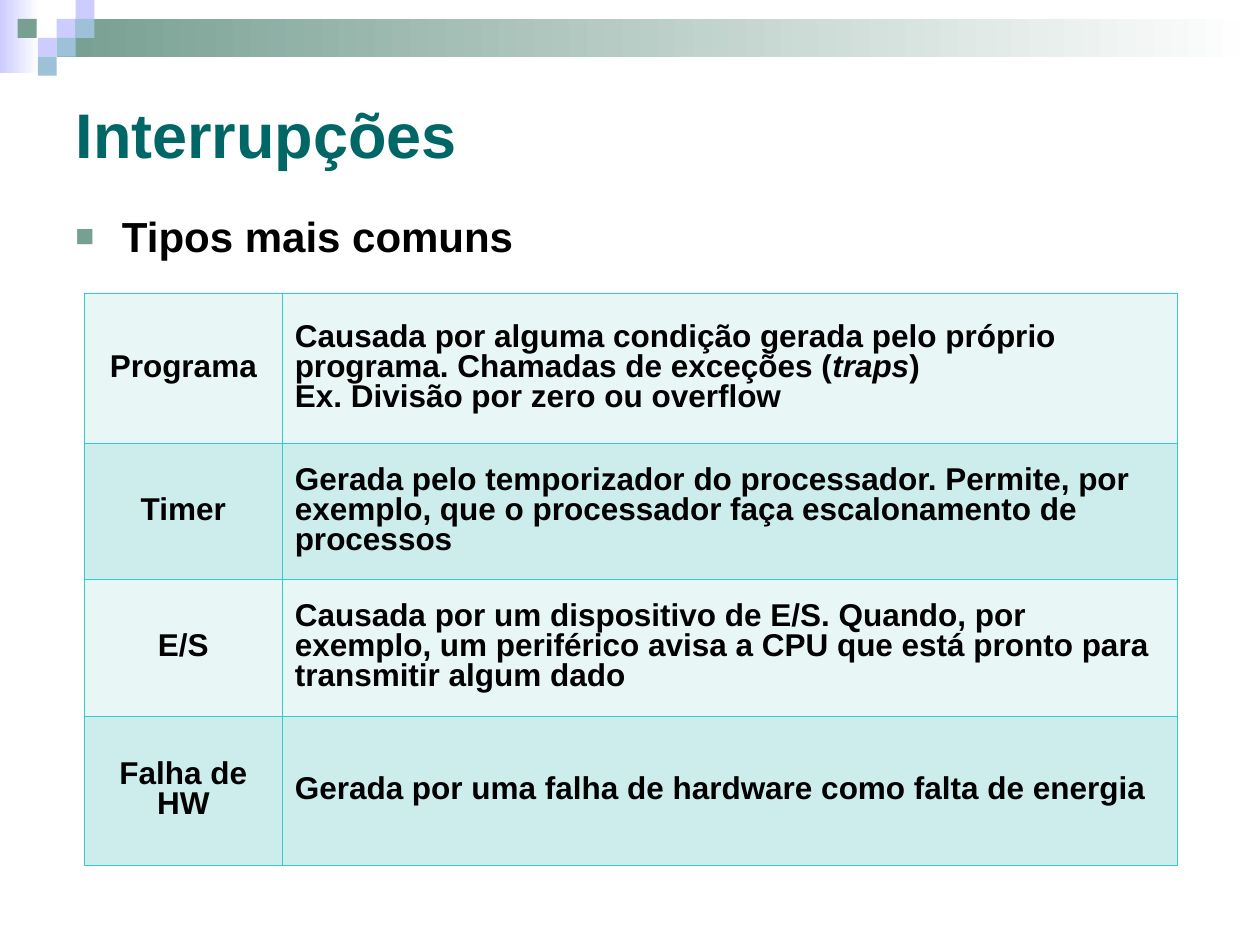
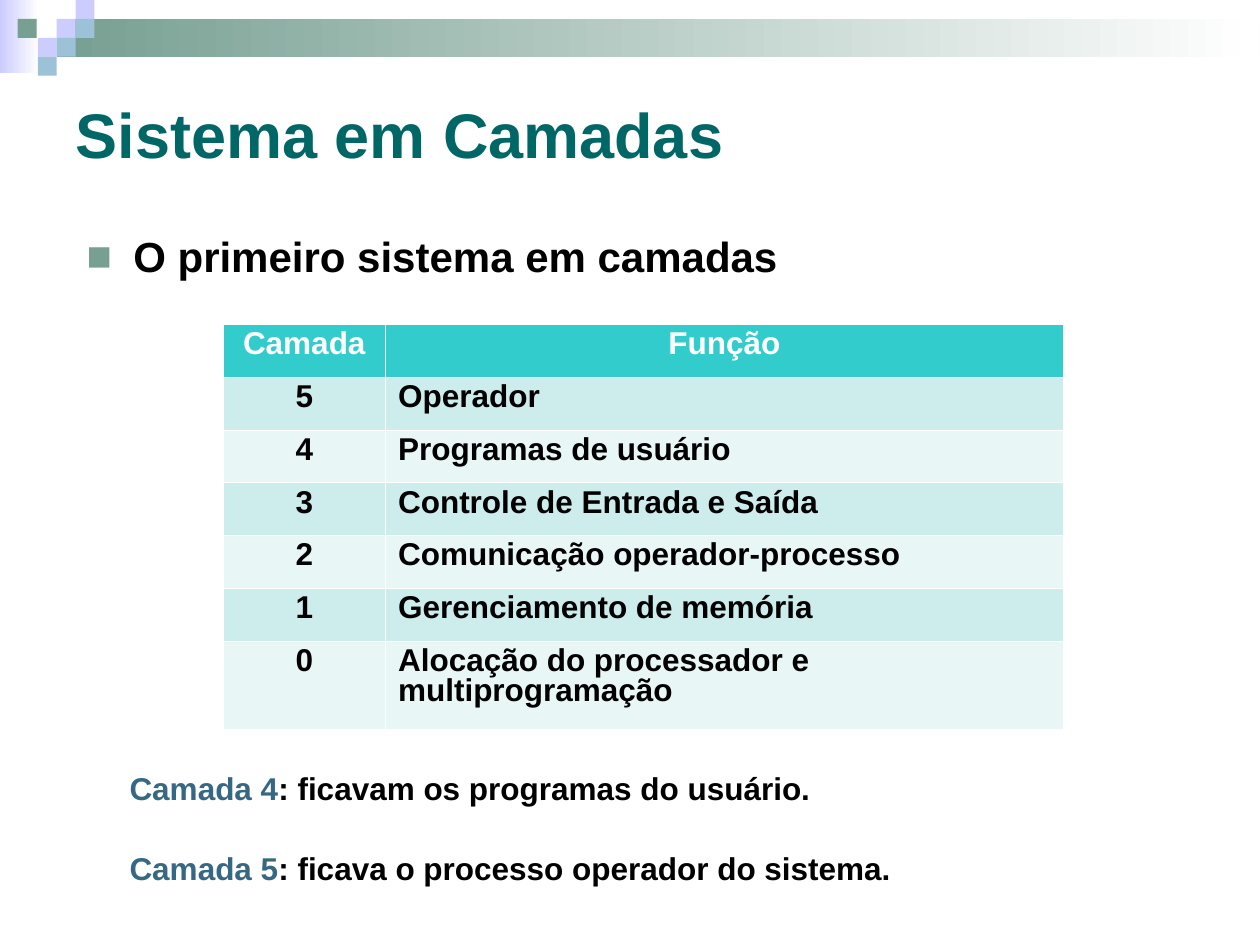
from itertools import product
from lxml.etree import SubElement
from pptx import Presentation
from pptx.dml.color import RGBColor
from pptx.enum.shapes import MSO_SHAPE
from pptx.enum.text import MSO_ANCHOR, PP_ALIGN
from pptx.oxml import parse_xml
from pptx.oxml.ns import nsdecls, qn
from pptx.util import Pt

PX = 9144  # 100 px to the inch
WHITE = RGBColor(0xFF, 0xFF, 0xFF)
BLACK = RGBColor(0, 0, 0)
LILAC = RGBColor(0xCC, 0xCC, 0xFF)
SAGE = RGBColor(0x77, 0x9F, 0x92)
SKY = RGBColor(0x9D, 0xC2, 0xD7)
TEAL = RGBColor(0, 0x66, 0x66)
STEEL = RGBColor(0x36, 0x68, 0x84)
TURQUOISE = RGBColor(0x33, 0xCC, 0xCC)
MINT = RGBColor(0xCD, 0xEC, 0xEC)
PALE = RGBColor(0xE8, 0xF6, 0xF6)


def px(*lengths):
    return [length * PX for length in lengths]


def write(para, text, size, color=BLACK, italic=False):
    span = para.add_run()
    span.text = text
    span.font.color.rgb = color
    formats = {"name": "Arial", "size": Pt(size), "bold": True, "italic": italic}
    for name, value in formats.items():
        setattr(span.font, name, value)


pages = [
    {
        "title": "Interrupções",
        "bullet": "Tipos mais comuns",
        "bullet_box": (50, 162, 900, 559),
        "bullet_percent": 75,
        "table_box": (67, 233, 867, 454),
        "columns": (157, 710),
        "heights": (119, 108, 108, 119),
        "fills": [PALE, MINT] * 2,
        "border": TURQUOISE,
        "anchor": MSO_ANCHOR.MIDDLE,
        "rows": [
            ("Programa", "Causada por alguma condição gerada pelo próprio programa. "
             "Chamadas de exceções (|traps|)\vEx. Divisão por zero ou overflow"),
            ("Timer", "Gerada pelo temporizador do processador. Permite, por exemplo, "
             "que o processador faça escalonamento de processos"),
            ("E/S", "Causada por um dispositivo de E/S. Quando, por exemplo, um "
             "periférico avisa a CPU que está pronto para transmitir algum dado"),
            ("Falha de HW", "Gerada por uma falha de hardware como falta de energia"),
        ],
    },
    {
        "title": "Sistema em Camadas",
        "bullet": "O primeiro sistema em camadas",
        "bullet_box": (59, 178, 900, 63),
        "bullet_percent": 100,
        "table_box": (177, 257, 667, 322),
        "columns": (129, 538),
        "heights": [42] * 6 + [70],
        "fills": [TURQUOISE] + [MINT, PALE] * 3,
        "border": WHITE,
        "anchor": MSO_ANCHOR.TOP,
        "rows": [
            ("Camada", "Função"),
            ("5", "Operador"),
            ("4", "Programas de usuário"),
            ("3", "Controle de Entrada e Saída"),
            ("2", "Comunicação operador-processo"),
            ("1", "Gerenciamento de memória"),
            ("0", "Alocação do processador e multiprogramação"),
        ],
    },
]

deck = Presentation()
deck.slide_width, deck.slide_height = px(1000, 750)

for content in pages:
    page = deck.slides.add_slide(deck.slide_layouts[5])

    # Title
    title = page.shapes.title
    title.left, title.top, title.width, title.height = px(50, 50, 900, 112)
    title.text_frame.vertical_anchor = MSO_ANCHOR.MIDDLE
    para = title.text_frame.paragraphs[0]
    para.alignment = PP_ALIGN.LEFT
    write(para, content["title"], 36, TEAL)

    # Bullet line
    box = page.shapes.add_textbox(*px(*content["bullet_box"]))
    box.text_frame.word_wrap = True
    para = box.text_frame.paragraphs[0]
    properties = para._p.get_or_add_pPr()
    properties.set("marL", str(37 * PX))
    properties.set("indent", str(-37 * PX))
    bullet_color = SubElement(properties, qn("a:buClr"))
    SubElement(bullet_color, qn("a:srgbClr"), val=str(SAGE))
    SubElement(properties, qn("a:buSzPct"), val=str(content["bullet_percent"] * 1000))
    SubElement(properties, qn("a:buFont"), typeface="Arial")
    SubElement(properties, qn("a:buChar"), char="■")
    write(para, content["bullet"], 24)

    # Table
    rows, columns = content["rows"], content["columns"]
    table = page.shapes.add_table(len(rows), len(columns), *px(*content["table_box"])).table
    table.first_row = table.horz_banding = False
    for column, width in zip(table.columns, columns):
        column.width = width * PX
    for row, height in zip(table.rows, content["heights"]):
        row.height = height * PX
    for r, c in product(range(len(rows)), range(len(columns))):
        cell = table.cell(r, c)
        fill = content["fills"][r]
        is_header = fill == TURQUOISE
        cell.vertical_anchor = content["anchor"]
        cell.fill.solid()
        cell.fill.fore_color.rgb = fill
        for position, side in enumerate("LRTB"):
            cell._tc.get_or_add_tcPr().insert(position, parse_xml(
                f'<a:ln{side} {nsdecls("a")} w="1397"><a:solidFill>'
                f'<a:srgbClr val="{content["border"]}"/></a:solidFill></a:ln{side}>'))
        para = cell.text_frame.paragraphs[0]
        para.alignment = PP_ALIGN.CENTER if c == 0 or is_header else PP_ALIGN.LEFT
        para.line_spacing = 0.86
        # Bars enclose italic words, \v breaks the line
        for part, text in enumerate(rows[r][c].split("|")):
            for line, words in enumerate(text.split("\v")):
                if line:
                    para.add_line_break()
                write(para, words, 18, WHITE if is_header else BLACK, part % 2 == 1)

# Notes on the layers, below the second table
box = page.shapes.add_textbox(*px(55, 594, 900, 126))
box.fill.solid()
box.fill.fore_color.rgb = WHITE
frame = box.text_frame
frame.word_wrap = True
frame.vertical_anchor = MSO_ANCHOR.MIDDLE
notes = [("Camada 4", ": ficavam os programas do usuário."),
         ("Camada 5", ": ficava o processo operador do sistema.")]
for number, (layer, note) in enumerate(notes):
    para = frame.add_paragraph() if number else frame.paragraphs[0]
    para._p.get_or_add_pPr().set("marL", str(38 * PX))
    if number:
        para.space_before = Pt(24)
    write(para, layer, 18, STEEL)
    write(para, note, 18)

# Shared band: two fades to white, then the mosaic, all moved to the master
band = [
    (0, 0, 31, 58, LILAC, True),
    (45, 15, 954, 30, SAGE, True),
]
mosaic = [(45, 15, LILAC), (60, 0, LILAC), (60, 15, SKY), (30, 30, LILAC),
          (14, 15, SAGE), (45, 30, SKY), (30, 45, SKY)]
band += [(left, top, 15, 15, color, False) for left, top, color in mosaic]
for number, (left, top, width, height, color, fades) in enumerate(band):
    tile = page.shapes.add_shape(MSO_SHAPE.RECTANGLE, *px(left, top, width, height))
    tile.shadow.inherit = False
    tile.line.fill.background()
    if fades:
        tile.fill.gradient()
        tile.fill.gradient_angle = 0
        for stop, shade in zip(tile.fill.gradient_stops, (color, WHITE)):
            stop.color.rgb = shade
            stop.position = float(shade == WHITE)
    else:
        tile.fill.solid()
        tile.fill.fore_color.rgb = color
    tile.element.nvSpPr.cNvPr.set("id", str(100 + number))
    deck.slide_master.shapes.element.insert(2 + number, tile.element)

deck.save("out.pptx")
